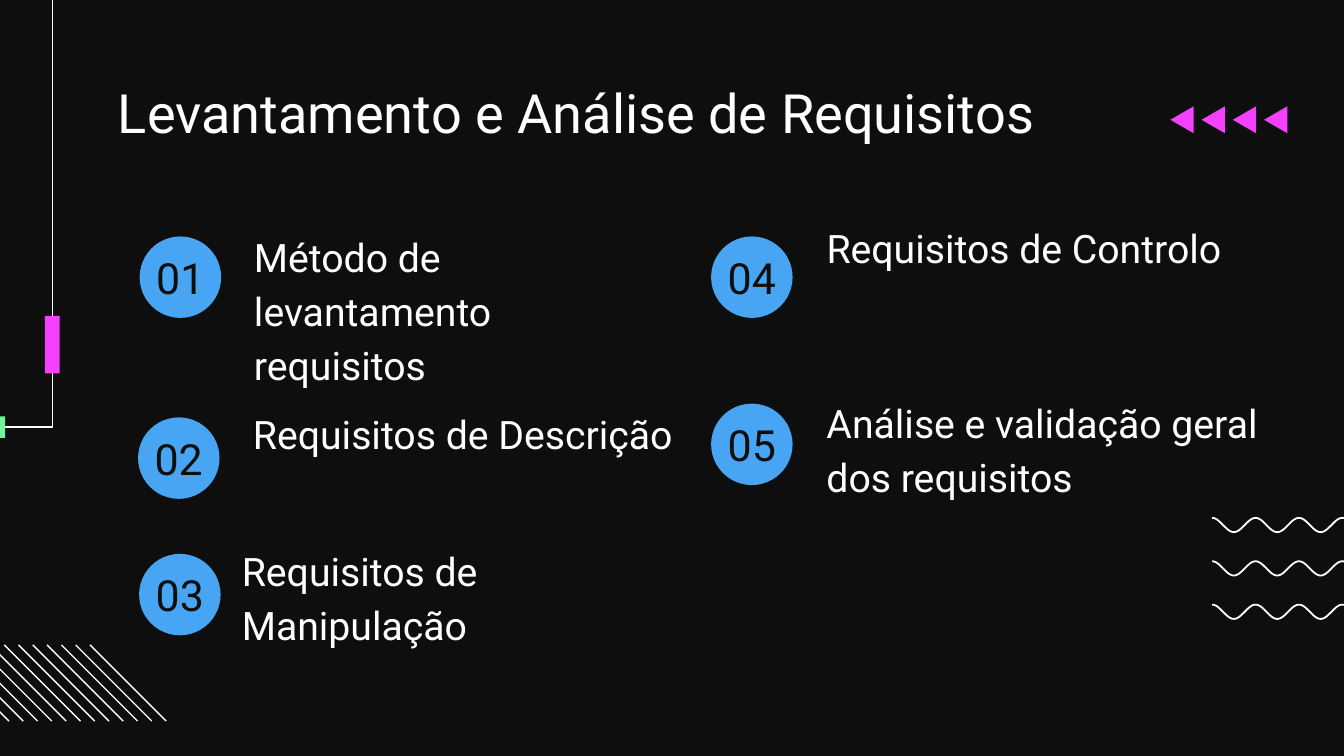
from dataclasses import dataclass
from itertools import zip_longest
from math import cos, pi

from lxml.etree import SubElement
from pptx import Presentation
from pptx.dml.color import RGBColor as Rgb
from pptx.enum.shapes import MSO_CONNECTOR as Connector, MSO_SHAPE as Shape
from pptx.enum.text import MSO_ANCHOR as Anchor, MSO_AUTO_SIZE as AutoSize, PP_ALIGN as Align
from pptx.oxml.ns import qn
from pptx.util import Cm, Pt


@dataclass(frozen=True)
class Theme:
    font: str = "Roboto"
    dark: Rgb = Rgb(0x0E, 0x0E, 0x0E)
    light: Rgb = Rgb(0xFF, 0xFF, 0xFF)
    blue: Rgb = Rgb(0x47, 0xA5, 0xF3)
    pink: Rgb = Rgb(0xF3, 0x41, 0xFF)
    green: Rgb = Rgb(0x72, 0xF4, 0x9A)
    title_size: float = 29
    number_size: float = 23
    label_size: float = 21
    thin: float = 0.75
    wave: float = 0.95


@dataclass(frozen=True)
class Box:
    """Place and size in centimetres."""
    left: float
    top: float
    width: float
    height: float

    def emu(self) -> tuple:
        return Cm(self.left), Cm(self.top), Cm(self.width), Cm(self.height)


@dataclass(frozen=True)
class Topic:
    label: str
    badge_left: float
    badge_top: float
    label_box: Box


THEME = Theme()
BADGE_SIZE = 1.54
TITLE_BOX = Box(1.98, 1.5, 21.44, 1.17)
TOPICS = [
    Topic("Método de levantamento requisitos", 2.64, 4.47, Box(4.55, 4.27, 8.05, 3.1)),
    Topic("Requisitos de Descrição", 2.61, 7.89, Box(4.53, 7.62, 8.74, 2.06)),
    Topic("Requisitos de Manipulação", 2.63, 10.47, Box(4.32, 10.21, 8.74, 2.06)),
    Topic("Requisitos de Controlo", 13.44, 4.47, Box(15.37, 4.11, 8.46, 2.24)),
    Topic("Análise e validação geral dos requisitos", 13.44, 7.63, Box(15.37, 7.42, 8.74, 3.05)),
]


def write(shape, text: str, size: float, color: Rgb, align=Align.LEFT,
          anchor=Anchor.TOP, side: float = 0.25, bottom: float = 0.25):
    """Set one paragraph of text and return it."""
    frame = shape.text_frame
    frame.text = text
    frame.word_wrap = True
    frame.auto_size = AutoSize.NONE
    frame.vertical_anchor = anchor
    frame.margin_left = frame.margin_right = Cm(side)
    frame.margin_top, frame.margin_bottom = 0, Cm(bottom)
    paragraph = frame.paragraphs[0]
    paragraph.alignment = align
    paragraph.space_before = Pt(0)
    for run in paragraph.runs:
        run.font.name = THEME.font
        run.font.size = Pt(size)
        run.font.bold = False
        run.font.color.rgb = color
    return paragraph


def place(shape, box: Box) -> None:
    shape.left, shape.top, shape.width, shape.height = box.emu()


def paint(shape, color: Rgb) -> None:
    shape.shadow.inherit = False
    shape.fill.solid()
    shape.fill.fore_color.rgb = color
    shape.line.fill.background()


def draw_preset(slide, kind: Shape, box: Box, color: Rgb):
    shape = slide.shapes.add_shape(kind, *box.emu())
    paint(shape, color)
    return shape


def draw_outline(slide, points: list[tuple[float, float]], close: bool = False):
    start, *rest = [(Cm(x), Cm(y)) for x, y in points]
    builder = slide.shapes.build_freeform(*start)
    builder.add_line_segments(rest, close=close)
    return builder.convert_to_shape()


def draw_path(slide, points: list[tuple[float, float]], weight: float) -> None:
    path_line = draw_outline(slide, points)
    path_line.shadow.inherit = False
    path_line.fill.background()
    path_line.line.color.rgb = THEME.light
    path_line.line.width = Pt(weight)


def draw_wave(slide, top: float) -> None:
    left, half_wave, height, steps = 22.91, 0.41, 0.27, 12
    points = [(left + half_wave * i / steps, top + height * (1 - cos(pi * i / steps)) / 2)
              for i in range(7 * steps + 1)]
    draw_path(slide, points, THEME.wave)


def draw_stripe(slide, left: float) -> None:
    top, size = 12.19, 1.44
    stripe = slide.shapes.add_connector(
        Connector.STRAIGHT, Cm(left), Cm(top), Cm(left + size), Cm(top + size))
    stripe.line.color.rgb = THEME.light
    stripe.line.width = Pt(THEME.thin)
    SubElement(stripe._element.spPr, qn("a:effectLst"))


def draw_arrowhead(slide, left: float) -> None:
    top, width, height = 2.01, 0.44, 0.51
    tip = (left, top + height / 2)
    corners = [(left + width, top), tip, (left + width, top + height)]
    paint(draw_outline(slide, corners, close=True), THEME.pink)


def draw_decoration(slide) -> None:
    for row in range(3):
        draw_wave(slide, 9.79 + 0.82 * row)
    for column in range(12):
        draw_stripe(slide, -1.27 + 0.27 * column)
    # Corner line with its two markers
    draw_path(slide, [(-9.98, 8.07), (0.99, 8.07), (0.99, -0.55)], THEME.thin)
    draw_preset(slide, Shape.RECTANGLE, Box(-0.31, 7.87, 0.41, 0.41), THEME.green)
    draw_preset(slide, Shape.RECTANGLE, Box(0.85, 5.97, 0.28, 1.09), THEME.pink)
    for column in range(4):
        draw_arrowhead(slide, 22.12 + 0.59 * column)


def draw_topic(slide, number: int, topic: Topic, placeholder) -> None:
    badge = draw_preset(slide, Shape.OVAL, Box(
        topic.badge_left, topic.badge_top, BADGE_SIZE, BADGE_SIZE), THEME.blue)
    write(badge, f"{number:02}", THEME.number_size, THEME.dark,
          Align.CENTER, Anchor.MIDDLE, side=0, bottom=0)

    label = placeholder or slide.shapes.add_textbox(*topic.label_box.emu())
    place(label, topic.label_box)
    paragraph = write(label, topic.label, THEME.label_size, THEME.light)
    paragraph.line_spacing = 1.15
    paragraph.space_after = Pt(12)
    # No bullet and no hanging indent
    properties = paragraph._p.get_or_add_pPr()
    properties.set("marL", "0")
    properties.set("indent", "0")
    SubElement(properties, qn("a:buNone"))


def main() -> None:
    deck = Presentation()
    deck.slide_width, deck.slide_height = Cm(25.4), Cm(14.29)
    slide = deck.slides.add_slide(deck.slide_layouts.get_by_name("Comparison"))
    slide.background.fill.solid()
    slide.background.fill.fore_color.rgb = THEME.dark
    title, *bodies = slide.placeholders

    draw_decoration(slide)

    # Title
    place(title, TITLE_BOX)
    write(title, "Levantamento e Análise de Requisitos", THEME.title_size, THEME.light)

    # Topics: the layout has four bodies, the fifth label is a text box
    for number, (topic, body) in enumerate(zip_longest(TOPICS, bodies), start=1):
        draw_topic(slide, number, topic, body)

    deck.save("out.pptx")


if __name__ == "__main__":
    main()
